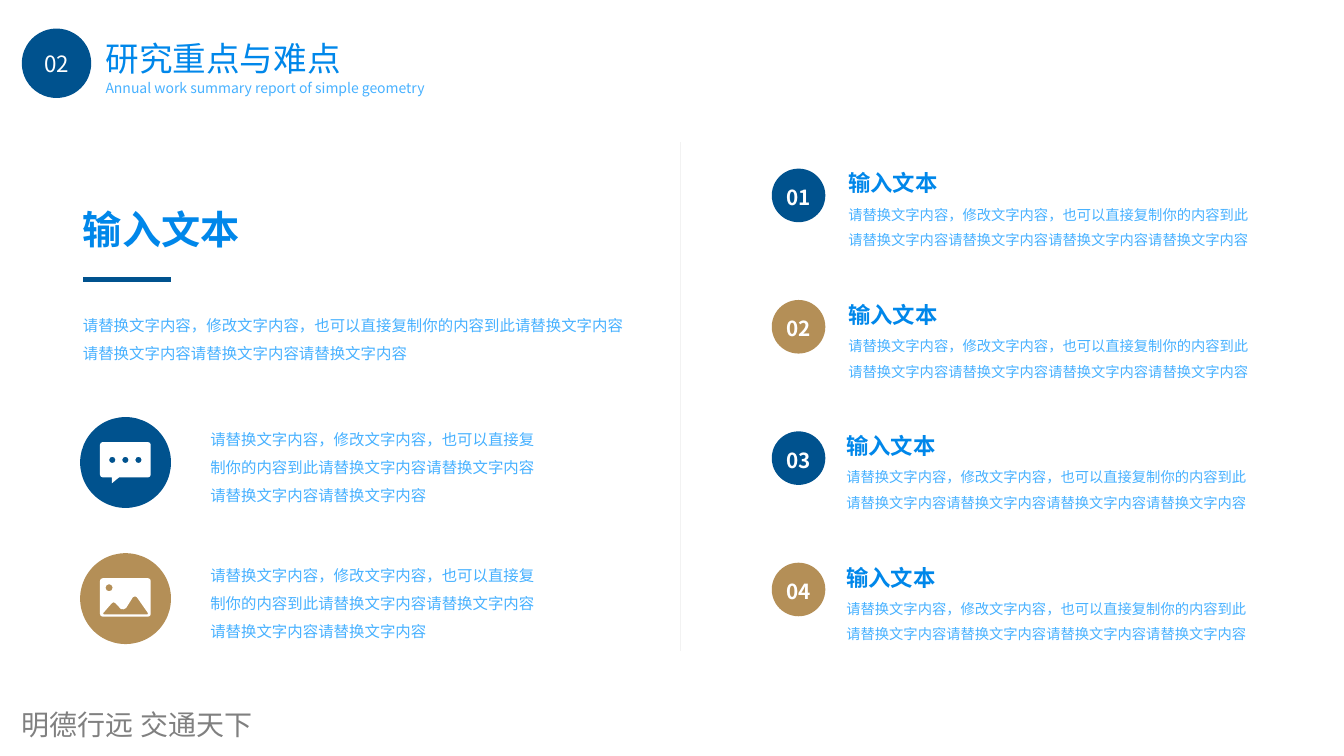
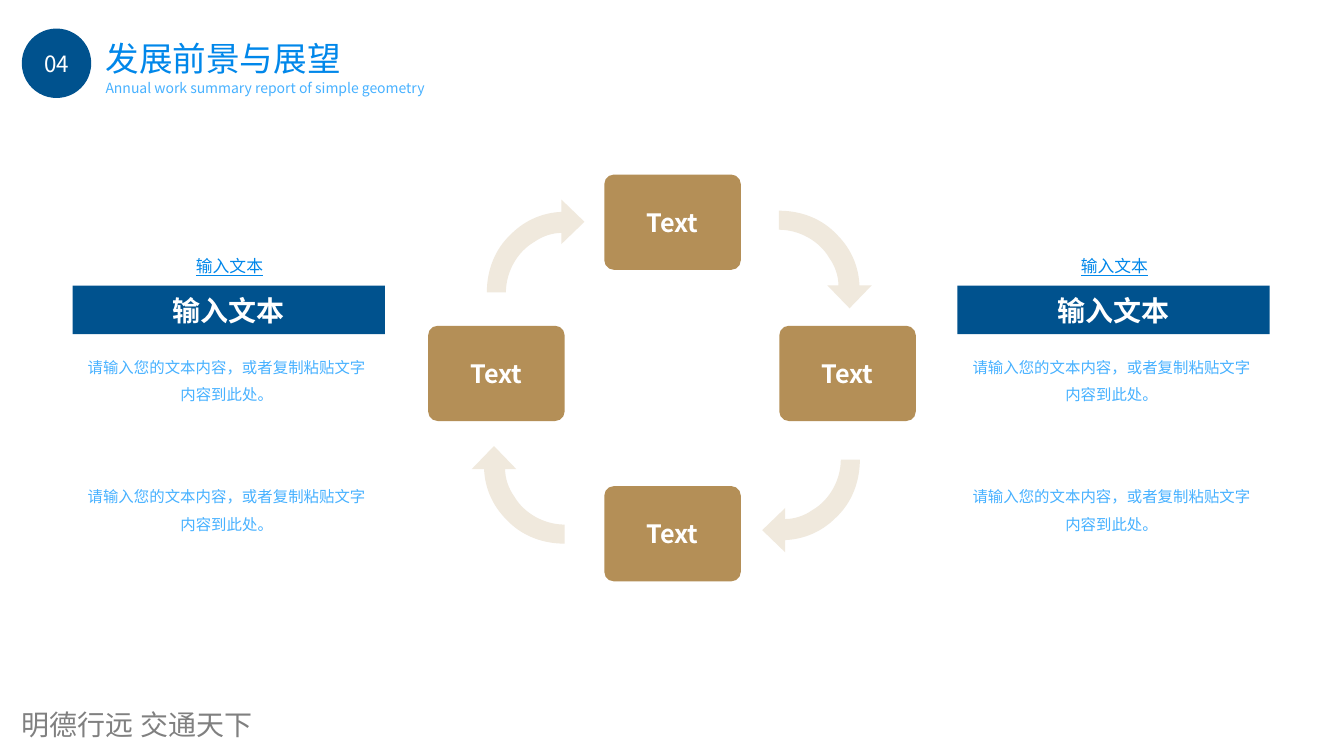
import lxml.etree
import pptx
import pptx.dml.color
import pptx.enum.shapes
import pptx.enum.text
import pptx.oxml.ns
import pptx.util

Cm = pptx.util.Cm
Pt = pptx.util.Pt
qn = pptx.oxml.ns.qn
SHAPES = pptx.enum.shapes.MSO_SHAPE
LEFT, CENTER = pptx.enum.text.PP_ALIGN.LEFT, pptx.enum.text.PP_ALIGN.CENTER
TOP = pptx.enum.text.MSO_ANCHOR.TOP
MIDDLE = pptx.enum.text.MSO_ANCHOR.MIDDLE
BOTTOM = pptx.enum.text.MSO_ANCHOR.BOTTOM

# Content
FOOTER = "明德行远 交通天下"
SUBTITLE = "Annual work summary report of simple geometry"
HEADING = "输入文本"
LONG_TEXT = (
    "请替换文字内容，修改文字内容，也可以直接复制你的内容到此"
    "请替换文字内容请替换文字内容请替换文字内容请替换文字内容"
)
SHORT_TEXT = "请输入您的文本内容，或者复制粘贴文字内容到此处。"

FOCUS = {
    "number": "02",
    "title": "研究重点与难点",
    "lead": (HEADING, LONG_TEXT),
    "icon_texts": [LONG_TEXT, LONG_TEXT],
    "points": [(f"{number:02}", HEADING, LONG_TEXT) for number in range(1, 5)],
}
OUTLOOK = {
    "number": "04",
    "title": "发展前景与展望",
    "columns": [(HEADING, HEADING, [SHORT_TEXT, SHORT_TEXT])] * 2,
    "cycle": ["Text"] * 4,
}


class Theme:
    font = "Noto Sans CJK SC"
    footer_font = "Noto Sans CJK JP"
    navy, gold, cream = "00528E", "B48F57", "F0E9DD"
    blue, sky = "0087EA", "47B1FF"
    white, grey, hairline = "FFFFFF", "808080", "F2F2F2"
    accents = (navy, gold)
    # style: (font values, paragraph values, colour)
    styles = {
        "title": ({"size": Pt(24)}, {"alignment": LEFT}, blue),
        "subtitle": ({"size": Pt(10)}, {}, sky),
        "section": ({"size": Pt(16)}, {"alignment": CENTER}, white),
        "footer": ({"size": Pt(20), "name": footer_font}, {}, grey),
        "lead": ({"size": Pt(28), "bold": True}, {"line_spacing": 1.25}, blue),
        "body": ({"size": Pt(11)}, {"line_spacing": 1.5}, sky),
        "centred": ({"size": Pt(11)}, {"line_spacing": 1.5, "alignment": CENTER}, sky),
        "badge": ({"size": Pt(14.8), "bold": True},
                  {"line_spacing": 1.15, "alignment": CENTER}, white),
        "point": ({"size": Pt(16), "bold": True}, {"line_spacing": 1.45}, blue),
        "detail": ({"size": Pt(10.2)}, {"line_spacing": 1.5}, sky),
        "caption": ({"size": Pt(12), "underline": True}, {"alignment": CENTER}, blue),
        "bar": ({"size": Pt(20), "bold": True}, {"alignment": CENTER}, white),
        "card": ({"size": Pt(18), "bold": True}, {"alignment": CENTER}, white),
    }


# Outlines: a contour is a list of segments, each holding one point (a corner)
# or three points (a Bézier curve); the first segment is the starting point.
def circle_contour(x, y, radius):
    """Return a circle of four curves around the centre x, y."""
    pull = 0.55
    quarter = [(1, pull), (pull, 1), (0, 1)]
    contour = [[(x + radius, y)]]
    for turn in range(4):
        turned = [complex(*point) * 1j ** turn * radius for point in quarter]
        contour.append([(x + point.real, y + point.imag) for point in turned])
    return contour


def frame_contour(width, height, bottom_edge=()):
    """Return a rounded frame; bottom_edge adds corners from right to left."""
    r, c = 0.07, 0.03
    return [
        [(width - r, 0)], [(width - c, 0), (width, c), (width, r)],
        [(width, height - r)],
        [(width, height - c), (width - c, height), (width - r, height)],
        *[[point] for point in bottom_edge],
        [(r, height)], [(c, height), (0, height - c), (0, height - r)],
        [(0, r)], [(0, c), (c, 0), (r, 0)],
    ]


CHAT_ICON = [
    frame_contour(1.28, 0.89, [(0.48, 0.89), (0.3, 1.04), (0.3, 0.89)]),
    *[circle_contour(x, 0.45, 0.08) for x in (0.31, 0.64, 0.97)],
]
IMAGE_ICON = [
    frame_contour(1.28, 0.97),
    [[(0.93, 0.48)], [(0.91, 0.45), (0.86, 0.45), (0.83, 0.48)], [(0.66, 0.75)],
     [(0.63, 0.78), (0.57, 0.8), (0.53, 0.78)], [(0.39, 0.63)],
     [(0.36, 0.6), (0.33, 0.6), (0.3, 0.63)], [(0.08, 0.88)], [(0.09, 0.91)],
     [(1.2, 0.91)], [(1.21, 0.88)]],
    circle_contour(0.23, 0.24, 0.09),
]
CYCLE_ARROW = [
    [(0, 0)], [(0, 0.48)],
    [(0.51, 0.48), (1.02, 0.76), (1.27, 1.19)],
    [(1.42, 1.4), (1.5, 1.65), (1.5, 1.88)],
    [(1.22, 1.88)], [(1.78, 2.46)], [(2.34, 1.88)], [(2.03, 1.88)],
    [(2.01, 1.42), (1.83, 0.97), (1.47, 0.61)],
    [(1.09, 0.2), (0.56, 0), (0, 0)],
]


def rgb(value):
    return pptx.dml.color.RGBColor.from_string(value)


def set_values(target, values):
    for name, value in values.items():
        setattr(target, name, value)


def write(shape, text, style, anchor=TOP, margins=(0.25, 0.13)):
    font_values, paragraph_values, colour = Theme.styles[style]
    frame = shape.text_frame
    horizontal, vertical = map(Cm, margins)
    set_values(frame, {
        "word_wrap": True,
        "auto_size": pptx.enum.text.MSO_AUTO_SIZE.NONE,
        "vertical_anchor": anchor,
        "margin_left": horizontal, "margin_right": horizontal,
        "margin_top": vertical, "margin_bottom": vertical,
    })
    paragraph = frame.paragraphs[0]
    set_values(paragraph, paragraph_values)
    run = paragraph.add_run()
    run.text = text
    set_values(run.font, {"name": Theme.font, **font_values})
    run.font.color.rgb = rgb(colour)
    east_asian = lxml.etree.SubElement(run._r.get_or_add_rPr(), qn("a:ea"))
    east_asian.set("typeface", run.font.name)


def add_text(slide, box, text, style, **options):
    write(slide.shapes.add_textbox(*map(Cm, box)), text, style, **options)


def paint(shape, colour):
    shape.shadow.inherit = False
    shape.fill.solid()
    shape.fill.fore_color.rgb = rgb(colour)
    shape.line.fill.background()


def add_block(slide, kind, box, colour):
    shape = slide.shapes.add_shape(kind, *map(Cm, box))
    paint(shape, colour)
    return shape


def add_outline(slide, contours, origin, colour, quarter_turns=0):
    """Draw contours as one shape, turned clockwise about its origin."""
    def place(point):
        placed = complex(*origin) + complex(*point) * 1j ** quarter_turns
        return Cm(placed.real), Cm(placed.imag)

    builder = slide.shapes.build_freeform(*place(contours[0][0][0]), scale=1.0)
    for index, (start, *segments) in enumerate(contours):
        if index:
            builder.move_to(*place(start[0]))
        builder.add_line_segments(
            [place(point) for segment in segments for point in segment], close=True)
    shape = builder.convert_to_shape()
    paint(shape, colour)

    lines = iter(list(shape._element.iter(qn("a:lnTo"))))
    for contour in contours:
        for segment in contour[1:]:
            first, *others = [next(lines) for _ in segment]
            if others:
                first.tag = qn("a:cubicBezTo")
            for other in others:
                first.append(other[0])
                other.getparent().remove(other)


def add_line(slide, ends, colour, width):
    line = slide.shapes.add_connector(
        pptx.enum.shapes.MSO_CONNECTOR.STRAIGHT, *map(Cm, ends))
    line.line.color.rgb = rgb(colour)
    line.line.width = Pt(width)
    lxml.etree.SubElement(line._element.spPr, qn("a:effectLst"))


def add_framed_slide(presentation, content):
    """Add a slide with the shared section number, title, subtitle and footer."""
    slide = presentation.slides.add_slide(presentation.slide_layouts[5])
    title = slide.shapes.title
    set_values(title, dict(zip(("left", "top", "width", "height"),
                               map(Cm, (2.48, 0.86, 7.01, 1.22)))))
    write(title, content["title"], "title", margins=(0.18, 0.1))
    add_text(slide, (2.48, 1.91, 10.19, 0.61), SUBTITLE, "subtitle", margins=(0.18, 0.1))
    circle = add_block(slide, SHAPES.OVAL, (0.55, 0.72, 1.75, 1.75), Theme.navy)
    write(circle, content["number"], "section", MIDDLE, (0, 0))
    add_text(slide, (0.3, 17.7, 10.01, 1.12), FOOTER, "footer")
    return slide


def build_focus(presentation):
    slide = add_framed_slide(presentation, FOCUS)
    heading, introduction = FOCUS["lead"]
    add_text(slide, (1.84, 3.58, 14.35, 2.9), heading, "lead", anchor=BOTTOM)
    add_line(slide, (2.1, 7.04, 4.31, 7.04), Theme.navy, 3.75)
    add_text(slide, (1.84, 7.61, 14.35, 1.57), introduction, "body")
    add_line(slide, (17.14, 3.58, 17.14, 16.41), Theme.hairline, 0.25)

    for index, (text, colour, icon) in enumerate(
            zip(FOCUS["icon_texts"], Theme.accents, (CHAT_ICON, IMAGE_ICON))):
        top = 10.51 + 3.43 * index
        add_block(slide, SHAPES.OVAL, (2.02, top, 2.29, 2.29), colour)
        add_outline(slide, icon, (2.52, top + 0.63), Theme.white)
        add_text(slide, (5.05, top, 8.71, 2.29), text, "body", anchor=MIDDLE)

    text_lefts = (21.13, 21.13, 21.08, 21.08)
    for index, (left, (number, heading, text)) in enumerate(
            zip(text_lefts, FOCUS["points"])):
        top = 4.25 + 3.31 * index
        badge = add_block(slide, SHAPES.OVAL, (19.45, top, 1.35, 1.35),
                          Theme.accents[index % 2])
        write(badge, number, "badge", MIDDLE, (0, 0))
        add_text(slide, (left, top - 0.41, 10.87, 0.76), heading, "point")
        add_text(slide, (left, top + 0.59, 10.87, 1.68), text, "detail")


def build_outlook(presentation):
    slide = add_framed_slide(presentation, OUTLOOK)
    cards = [(15.23, 4.4), (19.64, 8.21), (15.23, 12.25), (10.79, 8.21)]
    tails = [(19.63, 5.31), (21.67, 11.58), (14.23, 13.7), (12.27, 7.37)]
    for turn, (text, card, tail) in enumerate(zip(OUTLOOK["cycle"], cards, tails)):
        shape = add_block(slide, SHAPES.ROUNDED_RECTANGLE, (*card, 3.44, 2.4), Theme.gold)
        shape.adjustments[0] = 0.1
        write(shape, text, "card", MIDDLE)
        add_outline(slide, [CYCLE_ARROW], tail, Theme.cream, turn)

    for index, (caption, heading, texts) in enumerate(OUTLOOK["columns"]):
        left = 1.83 + 22.3 * index
        add_text(slide, (left + 0.02, 5.94, 7.87, 1.14), caption, "caption", anchor=BOTTOM)
        bar = add_block(slide, SHAPES.RECTANGLE, (left, 7.2, 7.87, 1.22), Theme.navy)
        write(bar, heading, "bar", MIDDLE)
        for row, text in enumerate(texts):
            add_text(slide, (left - 0.04, 8.65 + 3.26 * row, 7.85, 2.41), text, "centred")


def main():
    presentation = pptx.Presentation()
    presentation.slide_width, presentation.slide_height = Cm(33.87), Cm(19.05)
    build_focus(presentation)
    build_outlook(presentation)
    presentation.save("out.pptx")


if __name__ == "__main__":
    main()
